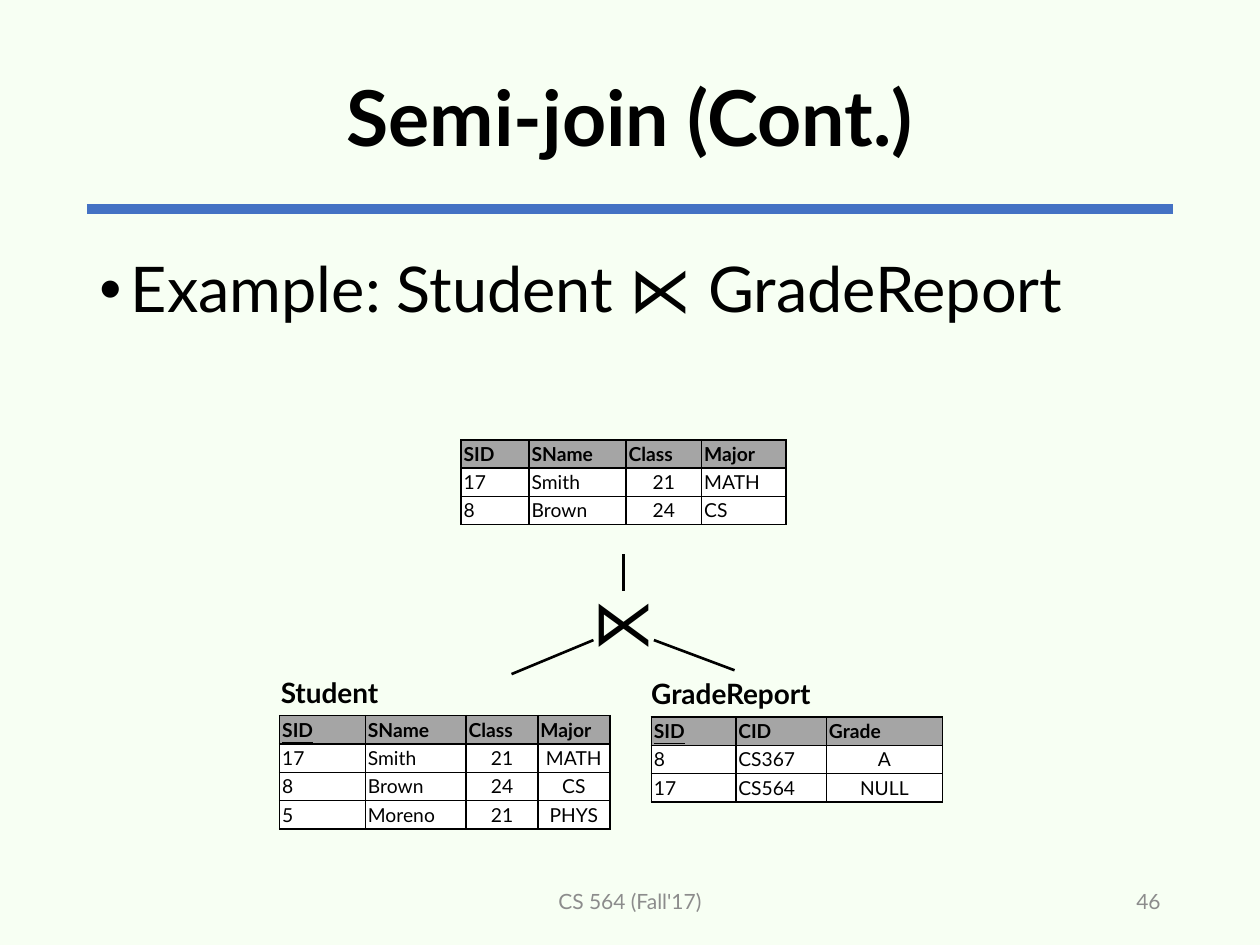
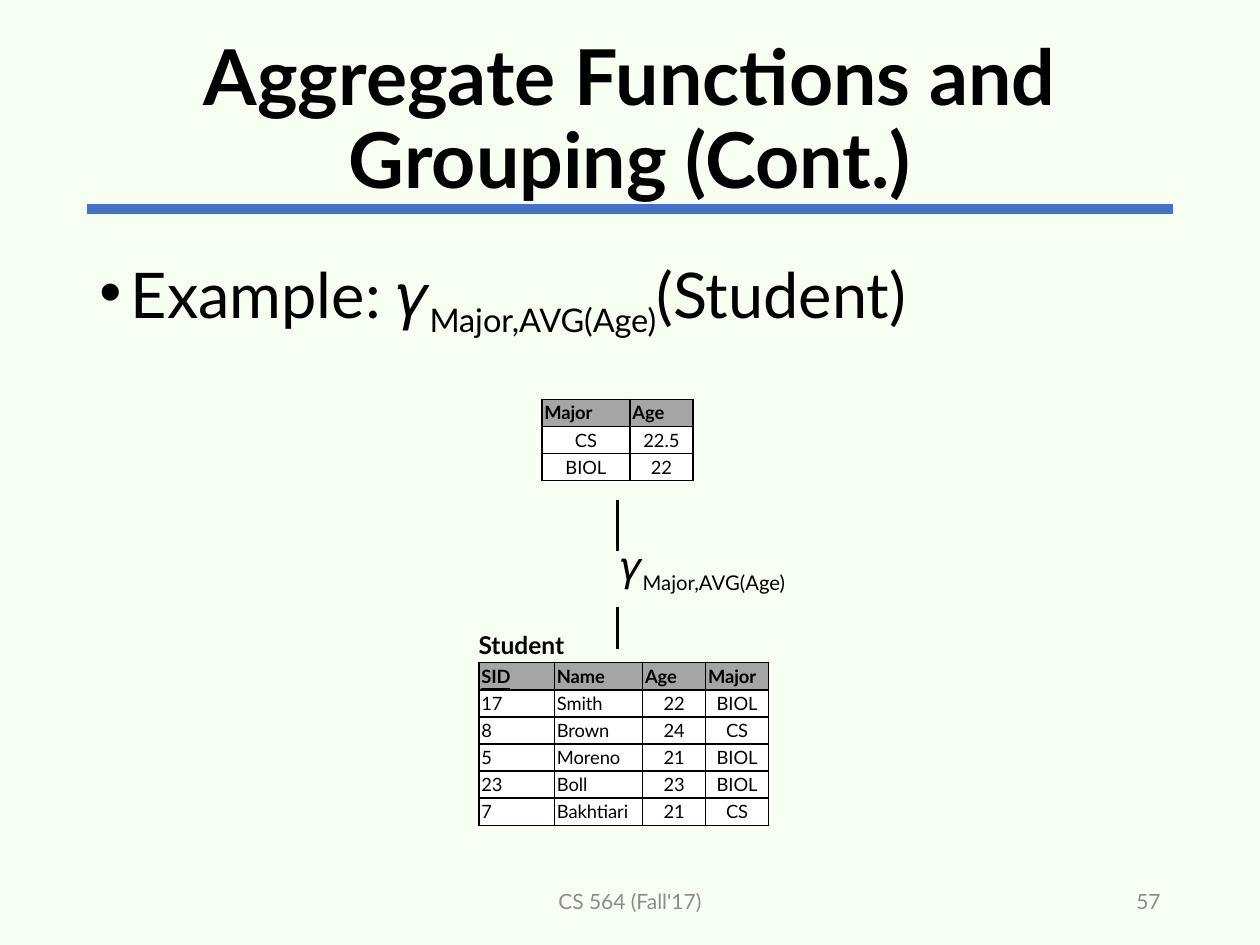
from lxml import etree
from pptx import Presentation
from pptx.dml.color import RGBColor
from pptx.enum.shapes import MSO_CONNECTOR
from pptx.enum.text import MSO_ANCHOR, MSO_AUTO_SIZE, PP_ALIGN
from pptx.oxml import parse_xml
from pptx.oxml.ns import nsdecls, qn
from pptx.util import Inches, Pt

BACKGROUND = RGBColor(0xF7, 0xFF, 0xF3)
BLACK = RGBColor(0, 0, 0)
WHITE = RGBColor(0xFF, 0xFF, 0xFF)
HEADER_GRAY = RGBColor(0xA5, 0xA5, 0xA5)
FOOTER_GRAY = RGBColor(0x8C, 0x8C, 0x8C)
RULE_BLUE = RGBColor(0x44, 0x72, 0xC4)
ALIGN = {"l": PP_ALIGN.LEFT, "c": PP_ALIGN.CENTER, "r": PP_ALIGN.RIGHT}
STUDENT_HEADER = ["SID", "SName", "Class", "Major"]

# A run is (text, size) or (text, size, "sub").
# A relation is (left, top, column widths, column alignment, has key, font size, rows).
slides = [
    {
        "title": "Semi-join (Cont.)",
        "number": "46",
        "example": [("Example: Student ⋉ GradeReport", 36)],
        "operator": ((4.61, 4.69, 0.68, 0.46), [("⋉", 36)]),
        "result_branch": (4.95, 4.4, 4.95, 4.69),
        "input_branches": [(4.71, 5.08, 4.06, 5.35), (5.19, 5.08, 5.83, 5.32)],
        "relation_names": [((2.13, 5.31, 0.99, 0.37), "Student", 16),
                           ((5.07, 5.32, 1.52, 0.37), "GradeReport", 16)],
        "relations": [
            (2.22, 5.68, [0.68, 0.8, 0.57, 0.57], "llcc", True, 11,
             [STUDENT_HEADER, ["17", "Smith", "21", "MATH"],
              ["8", "Brown", "24", "CS"], ["5", "Moreno", "21", "PHYS"]]),
            (5.17, 5.69, [0.67, 0.72, 0.92], "llc", True, 11,
             [["SID", "CID", "Grade"], ["8", "CS367", "A"], ["17", "CS564", "NULL"]]),
            (3.66, 3.49, [0.54, 0.77, 0.6, 0.67], "llcl", False, 11,
             [STUDENT_HEADER, ["17", "Smith", "21", "MATH"], ["8", "Brown", "24", "CS"]]),
        ],
    },
    {
        "title": "Aggregate Functions and Grouping (Cont.)",
        "number": "57",
        "example": [("Example: 𝛾", 36), ("Major,AVG(Age)", 32, "sub"), ("(Student)", 36)],
        "operator": ((4.92, 4.27, 1.32, 0.46), [("𝛾", 24), ("Major,AVG(Age)", 20, "sub")]),
        "result_branch": (4.9, 3.97, 4.9, 4.37),
        "input_branches": [(4.9, 4.82, 4.9, 5.15)],
        "relation_names": [((3.7, 4.95, 0.88, 0.34), "Student", 14)],
        "relations": [
            (3.8, 5.26, [0.6, 0.7, 0.5, 0.5], "llcc", True, 10.5,
             [["SID", "Name", "Age", "Major"], ["17", "Smith", "22", "BIOL"],
              ["8", "Brown", "24", "CS"], ["5", "Moreno", "21", "BIOL"],
              ["23", "Boll", "23", "BIOL"], ["7", "Bakhtiari", "21", "CS"]]),
            (4.3, 3.17, [0.7, 0.5], "cc", False, 10.5,
             [["Major", "Age"], ["CS", "22.5"], ["BIOL", "22"]]),
        ],
    },
]


def add_text(slide, box, runs, align="l", anchor=MSO_ANCHOR.MIDDLE, wrap=True,
             color=BLACK, bold=False):
    text_box = slide.shapes.add_textbox(*map(Inches, box))
    frame = text_box.text_frame
    frame_format = {"auto_size": MSO_AUTO_SIZE.NONE, "word_wrap": wrap, "vertical_anchor": anchor}
    for name, value in frame_format.items():
        setattr(frame, name, value)
    paragraph = frame.paragraphs[0]
    paragraph.alignment = ALIGN[align]
    for text, size, *subscript in runs:
        run = paragraph.add_run()
        run.text = text
        for name, value in {"name": "Lato", "size": Pt(size), "bold": bold}.items():
            setattr(run.font, name, value)
        run.font.color.rgb = color
        if subscript:
            run.font._element.set("baseline", "-25000")
    return text_box


def add_line(slide, ends, color=BLACK, width=1.5):
    line = slide.shapes.add_connector(MSO_CONNECTOR.STRAIGHT, *map(Inches, ends))
    line.line.color.rgb = color
    line.line.width = Pt(width)
    etree.SubElement(line._element.spPr, qn("a:effectLst"))
    return line


prs = Presentation()
prs.slide_width, prs.slide_height = Inches(10), Inches(7.5)
master_fill = prs.slide_master.background.fill
master_fill.solid()
master_fill.fore_color.rgb = BACKGROUND

for content in slides:
    slide = prs.slides.add_slide(prs.slide_layouts[6])

    # Title, rule and footer
    add_line(slide, (0.69, 1.66, 9.31, 1.66), RULE_BLUE, 6)
    title = add_text(slide, (0.69, 0.24, 8.62, 1.45), [(content["title"], 44)], "c", bold=True)
    title.text_frame.paragraphs[0].line_spacing = 0.9
    add_text(slide, (3.31, 6.95, 3.38, 0.4), [("CS 564 (Fall'17)", 12)], "c", color=FOOTER_GRAY)
    add_text(slide, (7.06, 6.95, 2.25, 0.4), [(content["number"], 12)], "r", color=FOOTER_GRAY)

    # Bulleted example
    example = add_text(slide, (0.69, 2, 8.62, 4.76), content["example"], anchor=MSO_ANCHOR.TOP)
    bullet = example.text_frame.paragraphs[0]
    bullet.line_spacing = 0.9
    bullet_format = bullet._p.get_or_add_pPr()
    bullet_format.set("marL", str(Inches(0.25)))
    bullet_format.set("indent", str(Inches(-0.25)))
    etree.SubElement(bullet_format, qn("a:buFont"), typeface="Arial")
    etree.SubElement(bullet_format, qn("a:buChar"), char="•")

    # Operator tree
    operator_box, operator_runs = content["operator"]
    operator = add_text(slide, operator_box, operator_runs, "c", wrap=False)
    result_branch = add_line(slide, content["result_branch"])
    if result_branch.end_y == operator.top:
        result_branch.end_connect(operator, 0)
    for ends in content["input_branches"]:
        add_line(slide, ends)
    for box, name, size in content["relation_names"]:
        add_text(slide, box, [(name, size)], anchor=MSO_ANCHOR.TOP, wrap=False, bold=True)

    # Relations
    for left, top, widths, alignment, has_key, size, rows in content["relations"]:
        row_height = 0.02 * size + 0.005
        relation = slide.shapes.add_table(
            len(rows), len(widths), Inches(left), Inches(top),
            Inches(sum(widths)), Inches(row_height * len(rows))).table
        for column, width in zip(relation.columns, widths):
            column.width = Inches(width)
        for r, values in enumerate(rows):
            is_header = r == 0
            relation.rows[r].height = Inches(row_height)
            for c, value in enumerate(values):
                cell = relation.cell(r, c)
                for side in ("left", "right", "top", "bottom"):
                    setattr(cell, f"margin_{side}", Inches(0.02))
                    cell._tc.get_or_add_tcPr().append(parse_xml(
                        f'<a:ln{side[0].upper()} w="12700" {nsdecls("a")}><a:solidFill>'
                        f'<a:srgbClr val="{BLACK}"/></a:solidFill></a:ln{side[0].upper()}>'))
                cell.fill.solid()
                cell.fill.fore_color.rgb = HEADER_GRAY if is_header else WHITE
                paragraph = cell.text_frame.paragraphs[0]
                paragraph.alignment = ALIGN["l" if is_header else alignment[c]]
                run = paragraph.add_run()
                run.text = value
                cell_font = {"name": "Lato", "size": Pt(size), "bold": is_header,
                             "underline": is_header and has_key and c == 0}
                for name, setting in cell_font.items():
                    setattr(run.font, name, setting)
                run.font.color.rgb = BLACK

prs.save("out.pptx")
